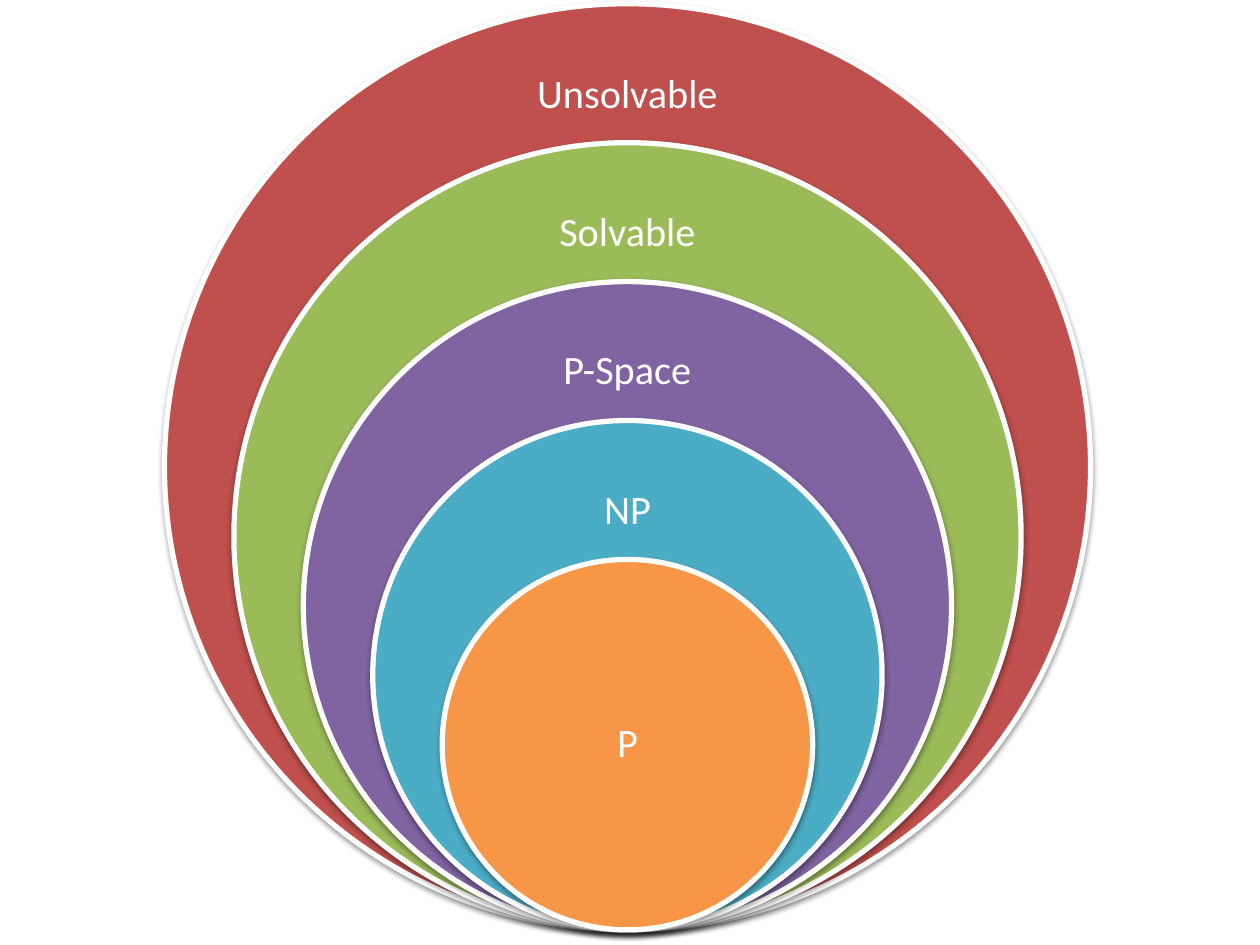
from lxml import etree
from pptx import Presentation
from pptx.dml.color import RGBColor
from pptx.enum.shapes import MSO_SHAPE as Shape
from pptx.enum.text import MSO_ANCHOR as Anchor, PP_ALIGN as Align
from pptx.oxml.ns import qn
from pptx.util import Inches, Pt

# Content, outermost class first: name, fill, label width and height
WHITE = RGBColor(0xFF, 0xFF, 0xFF)
CLASSES = [
    ("Unsolvable", RGBColor(0xC0, 0x50, 0x4D), 2.75, 0.73),
    ("Solvable", RGBColor(0x9B, 0xBB, 0x59), 2.69, 0.72),
    ("P-Space", RGBColor(0x80, 0x64, 0xA2), 2.66, 0.71),
    ("NP", RGBColor(0x4B, 0xAC, 0xC6), 2.18, 0.73),
    ("P", RGBColor(0xF7, 0x96, 0x46), 2.08, 1.47),
]

# Circles share a centre line and a lowest point
CENTER, BOTTOM = 4.98, 7.38
LARGEST, SMALLEST = 7.35, 2.94
STEP = (LARGEST - SMALLEST) / (len(CLASSES) - 1)
LABEL_DROP = 0.36

presentation = Presentation()
presentation.slide_width, presentation.slide_height = Inches(10), Inches(7.5)
slide = presentation.slides.add_slide(presentation.slide_layouts[6])


def add_shadow(shape):
    shape.shadow.inherit = False
    effects = shape._element.spPr.find(qn("a:effectLst"))
    shadow = etree.SubElement(
        effects, qn("a:outerShdw"), blurRad=str(Pt(3.1)), dist=str(Pt(1.6)),
        dir="5400000", rotWithShape="0")
    color = etree.SubElement(shadow, qn("a:srgbClr"), val="000000")
    etree.SubElement(color, qn("a:alpha"), val="38000")


def add_circle(diameter, fill):
    circle = slide.shapes.add_shape(
        Shape.OVAL, Inches(CENTER - diameter / 2), Inches(BOTTOM - diameter),
        Inches(diameter), Inches(diameter))
    circle.fill.solid()
    circle.fill.fore_color.rgb = fill
    circle.line.color.rgb = WHITE
    circle.line.width = Pt(3)
    add_shadow(circle)


def add_label(name, top, width, height):
    label = slide.shapes.add_textbox(
        Inches(CENTER - width / 2), Inches(top), Inches(width), Inches(height))
    frame = label.text_frame
    frame.word_wrap = True
    frame.vertical_anchor = Anchor.MIDDLE
    frame.margin_left = frame.margin_right = Inches(0.18)
    frame.margin_top = frame.margin_bottom = Inches(0.18)
    paragraph = frame.paragraphs[0]
    paragraph.alignment = Align.CENTER
    paragraph.line_spacing = 0.9
    run = paragraph.add_run()
    run.text = name
    run.font.name = "Calibri"
    run.font.size = Pt(23)
    run.font.color.rgb = WHITE


# Nested circles, each with its label; the innermost label is centred
for index, (name, fill, width, height) in enumerate(CLASSES):
    diameter = LARGEST - index * STEP
    innermost = index == len(CLASSES) - 1
    drop = (diameter - height) / 2 if innermost else LABEL_DROP
    add_circle(diameter, fill)
    add_label(name, BOTTOM - diameter + drop, width, height)

presentation.save("out.pptx")
